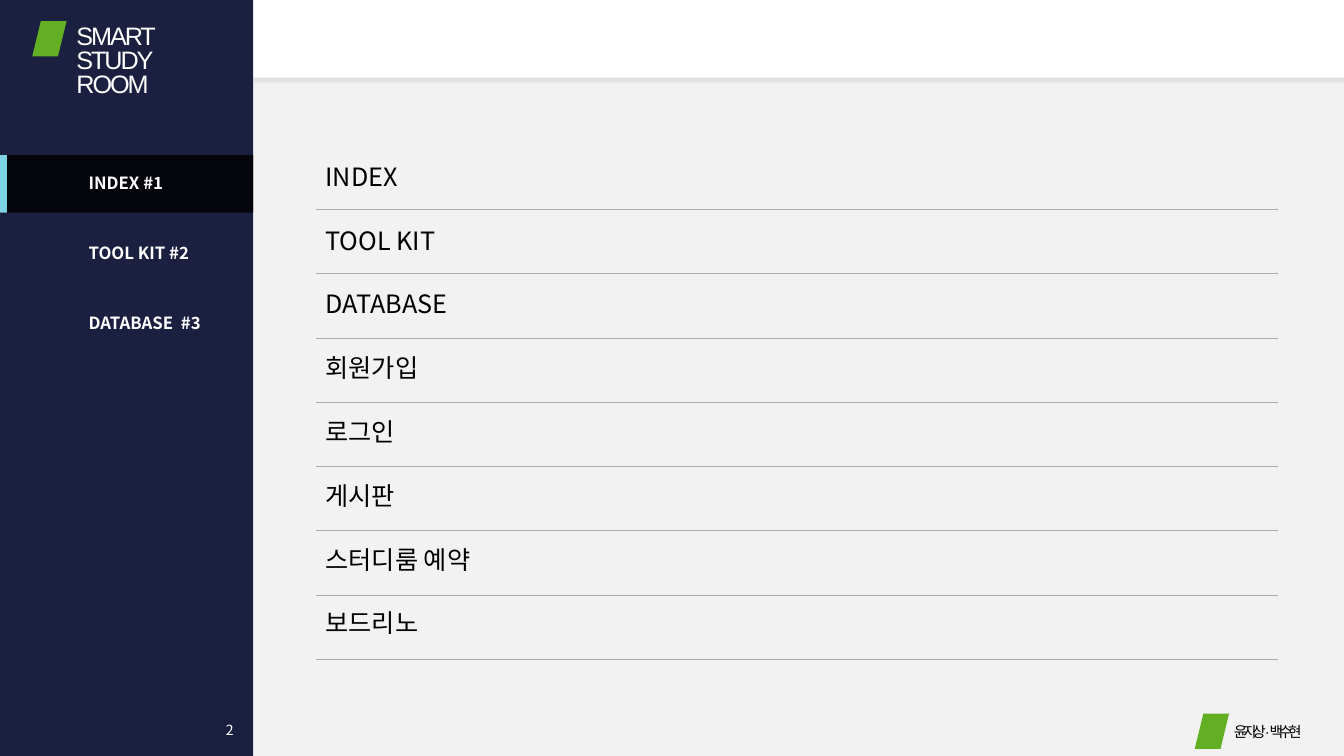
from lxml.etree import SubElement
from pptx import Presentation
from pptx.dml.color import RGBColor
from pptx.enum.shapes import MSO_CONNECTOR, MSO_SHAPE
from pptx.enum.text import PP_ALIGN
from pptx.oxml.ns import qn
from pptx.util import Inches, Pt

NAVY = RGBColor(0x1B, 0x20, 0x40)
BLACK = RGBColor(0, 0, 0)
INK = RGBColor(0x05, 0x06, 0x0B)
CYAN = RGBColor(0x7D, 0xD4, 0xE5)
GREEN = RGBColor(0x63, 0xAF, 0x24)
WHITE = RGBColor(0xFF, 0xFF, 0xFF)
PALE = RGBColor(0xF2, 0xF2, 0xF2)
RULE = RGBColor(0xAF, 0xAB, 0xAB)
SANS, KOREAN = "Arial", "Noto Sans CJK KR"

WIDTH, HEIGHT = 13.33, 7.5
SIDEBAR_W, HEADER_H = 2.51, 0.77
MENU = ["INDEX #1", "TOOL KIT #2", "DATABASE  #3"]
TOPICS = ["INDEX", "TOOL KIT", "DATABASE", "회원가입", "로그인", "게시판",
          "스터디룸 예약", "보드리노"]


def add_block(s, box, color, kind=MSO_SHAPE.RECTANGLE):
    """Add a filled shape without outline or shadow."""
    sp = s.shapes.add_shape(kind, *map(Inches, box))
    sp.shadow.inherit = False
    sp.fill.solid()
    sp.fill.fore_color.rgb = color
    sp.line.fill.background()
    return sp


def add_text(s, box, lines, size, color, font=KOREAN, bold=False,
             align=PP_ALIGN.LEFT, spacing=None, tracking=0, wrap=True):
    """Add a text box with one paragraph per line."""
    tf = s.shapes.add_textbox(*map(Inches, box)).text_frame
    tf.word_wrap = wrap
    for i, line in enumerate(lines):
        p = tf.paragraphs[0] if i == 0 else tf.add_paragraph()
        p.alignment = align
        p.line_spacing = spacing
        r = p.add_run()
        r.text = line
        r.font.size = Pt(size)
        r.font.bold = bold
        r.font.name = font
        r.font.color.rgb = color
        rPr = r._r.get_or_add_rPr()
        SubElement(rPr, qn("a:ea"), typeface=KOREAN)
        if tracking:
            rPr.set("spc", str(int(tracking * 100)))


def add_header(s, box):
    """Draw the white top band with its soft lower shadow."""
    sp = add_block(s, box, WHITE)
    effects = sp._element.spPr.find(qn("a:effectLst"))
    shadow = SubElement(effects, qn("a:outerShdw"), blurRad=str(Pt(2)),
                        dist=str(Pt(2)), dir="5400000", algn="t", rotWithShape="0")
    color = SubElement(shadow, qn("a:srgbClr"), val="000000")
    SubElement(color, qn("a:alpha"), val="8000")


def add_mark(s, x, y):
    """Place a plain slanted block beside a caption."""
    add_block(s, (x, y, 0.34, 0.35), GREEN, MSO_SHAPE.PARALLELOGRAM)


def add_sidebar(s, box):
    """Draw the navigation column with title, menu and page number."""
    x, y, w, h = box
    add_block(s, box, NAVY)
    add_mark(s, x + 0.32, y + 0.21)
    add_text(s, (x + 0.66, y + 0.21, 1.05, 0.83), ["SMART", "STUDY", "ROOM"], 18,
             WHITE, SANS, align=PP_ALIGN.JUSTIFY, spacing=0.8, tracking=-1.5)
    add_block(s, (x, y + 1.54, w, 0.57), INK)
    add_block(s, (x, y + 1.54, 0.07, 0.57), CYAN)
    for i, label in enumerate(MENU):
        add_text(s, (x + 0.78, y + 1.66 + 0.695 * i, 1.39, 0.3), [label], 12,
                 WHITE, bold=True, wrap=False)
    add_text(s, (x + 0.78, y + h - 0.39, 3, 0.4), ["2"], 10, WHITE,
             align=PP_ALIGN.CENTER)


def add_topics(s, box):
    """List the topics in equal rows, each closed by a thin rule."""
    x, y, w, h = box
    row = h / len(TOPICS)
    text_row = 4.43 / (len(TOPICS) - 1)
    for i, topic in enumerate(TOPICS):
        bottom = y + row * (i + 1)
        add_text(s, (x, y + 0.11 + text_row * i, 2.46, 0.4), [topic], 18, BLACK)
        rule = s.shapes.add_connector(
            MSO_CONNECTOR.STRAIGHT, Inches(x), Inches(bottom),
            Inches(x + w), Inches(bottom))
        rule.line.color.rgb = RULE
        rule.line.width = Pt(0.5)
        SubElement(rule._element.spPr, qn("a:effectLst"))


def add_authors(s, x, y):
    """Place the authors' names at the lower right."""
    add_mark(s, x, y)
    add_text(s, (x + 0.29, y + 0.08, 1.11, 0.25), ["윤지상 · 백수현"], 10.5, BLACK,
             SANS, align=PP_ALIGN.JUSTIFY, spacing=0.8, tracking=-3)


def main():
    """Build the index slide and save it."""
    prs = Presentation()
    prs.slide_width, prs.slide_height = Inches(WIDTH), Inches(HEIGHT)
    s = prs.slides.add_slide(prs.slide_layouts[6])
    s.background.fill.solid()
    s.background.fill.fore_color.rgb = PALE
    add_header(s, (SIDEBAR_W, 0, WIDTH - SIDEBAR_W, HEADER_H))
    add_sidebar(s, (0, 0, SIDEBAR_W, HEIGHT))
    add_topics(s, (3.13, 1.44, 9.55, 5.1))
    add_authors(s, 11.85, 7.08)
    prs.save("out.pptx")


if __name__ == "__main__":
    main()
